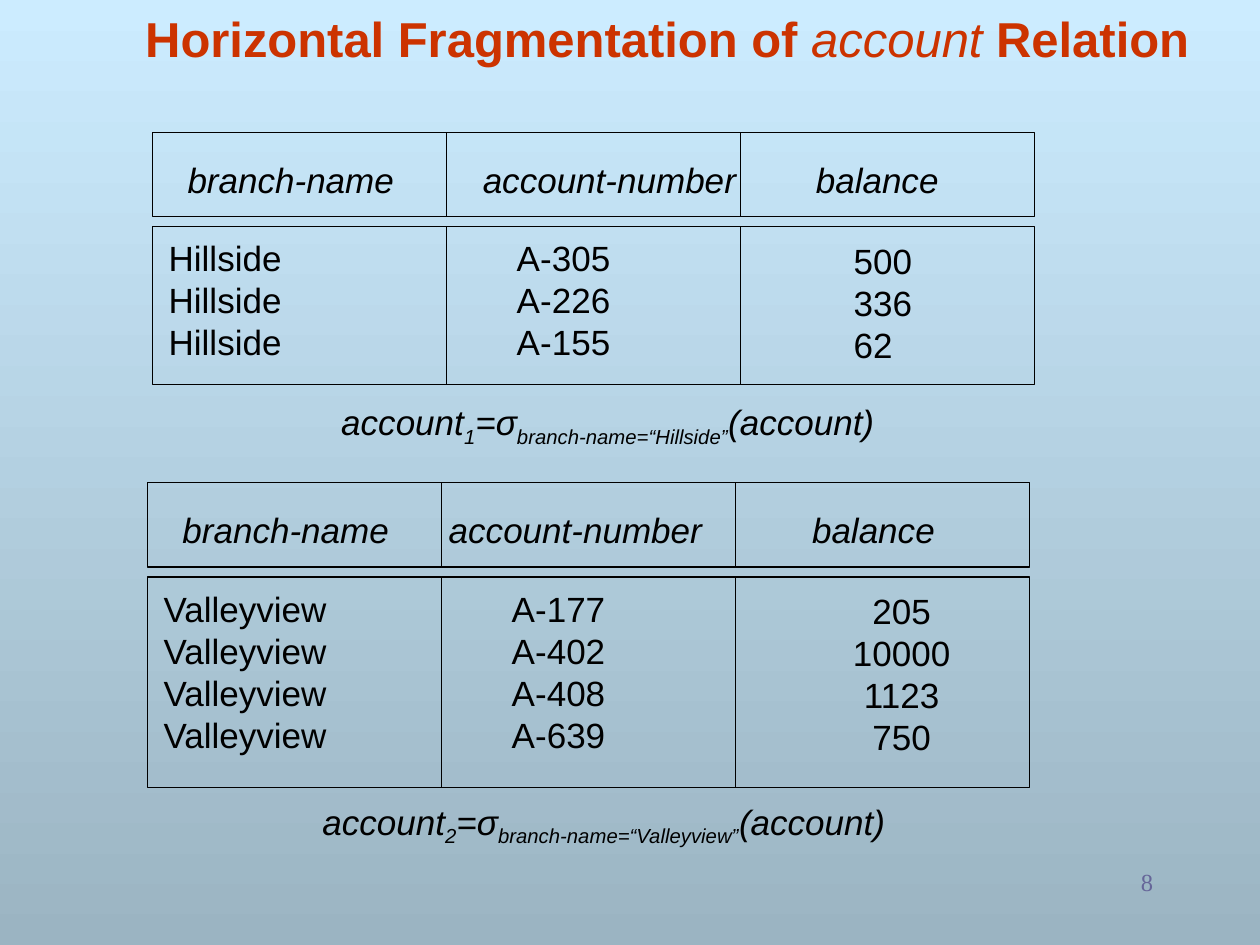
from pptx import Presentation
from pptx.dml.color import RGBColor
from pptx.enum.shapes import MSO_SHAPE
from pptx.enum.text import MSO_ANCHOR, MSO_AUTO_SIZE, PP_ALIGN
from pptx.util import Inches, Pt

SKY = RGBColor(0xCC, 0xEC, 0xFF)
SLATE = RGBColor(0x9B, 0xB4, 0xC2)
RED = RGBColor(0xCC, 0x33, 0x00)
BLACK = RGBColor(0x00, 0x00, 0x00)
VIOLET = RGBColor(0x66, 0x66, 0x99)

COL = 7 / 3
HEADER = 0.67
BODY_TOP = 0.75
LINE = 1 / 3

prs = Presentation()
prs.slide_width, prs.slide_height = Inches(10), Inches(7.5)
s = prs.slides.add_slide(prs.slide_layouts[5])

fill = s.background.fill
fill.gradient()
fill.gradient_angle = 270
for stop, color in zip(fill.gradient_stops, (SKY, SLATE)):
    stop.color.rgb = color


def add_cell(x, y, h):
    sp = s.shapes.add_shape(MSO_SHAPE.RECTANGLE, Inches(x), Inches(y), Inches(COL), Inches(h))
    sp.shadow.inherit = False
    sp.fill.background()
    sp.line.color.rgb = BLACK
    sp.line.width = Pt(0.75)


def add_text(x, y, w, h, lines, italic=False, align=PP_ALIGN.LEFT):
    """Add an unwrapped box; each line is a list of (text, is_subscript) runs."""
    tf = s.shapes.add_textbox(Inches(x), Inches(y), Inches(w), Inches(h)).text_frame
    tf.word_wrap = False
    tf.auto_size = MSO_AUTO_SIZE.SHAPE_TO_FIT_TEXT
    for i, runs in enumerate(lines):
        p = tf.add_paragraph() if i else tf.paragraphs[0]
        p.alignment = align
        p.font.name, p.font.size = "Arial", Pt(20)
        p.font.italic = italic
        p.font.color.rgb = BLACK
        for text, is_subscript in runs:
            r = p.add_run()
            r.text = text
            if is_subscript:
                r.font._element.set("baseline", "-25000")


# Title
title = s.shapes.title
title.left, title.top = Inches(0.42), Inches(0)
title.width, title.height = Inches(9.75), Inches(0.58)
tf = title.text_frame
tf.auto_size = MSO_AUTO_SIZE.NONE
tf.vertical_anchor = MSO_ANCHOR.BOTTOM
p = tf.paragraphs[0]
p.alignment = PP_ALIGN.CENTER
p.line_spacing = 0.8
p.font.name, p.font.size = "Arial", Pt(28)
p.font.color.rgb = RED
for text, italic in (("Horizontal Fragmentation of ", False), ("account", True), (" Relation", False)):
    r = p.add_run()
    r.text = text
    r.font.bold, r.font.italic = not italic, italic

# Fragments: left, top, body height, caption box, fragment number, branch,
# then per column: heading inset, value inset, value width, values
LEFT, CENTER = PP_ALIGN.LEFT, PP_ALIGN.CENTER
fragments = [
    (1.21, 1.05, 1.25, (2.61, 3.13, 4.45, 0.48), "1", "Hillside", LEFT, [
        (0.18, 0.03, 1.12, ["Hillside"] * 3),
        (0.19, 0.46, 0.96, ["A-305", "A-226", "A-155"]),
        (0.5, 0.8, 0.69, ["500", "336", "62"])]),
    (1.17, 3.83, 1.67, (2.46, 6.3, 4.69, 0.82), "2", "Valleyview", CENTER, [
        (0.18, 0.03, 1.53, ["Valleyview"] * 4),
        (-0.04, 0.46, 0.96, ["A-177", "A-402", "A-408", "A-639"]),
        (0.51, 0.82, 1, ["205", "10000", "1123", "750"])]),
]
headings = [("branch-name", 1.86), ("account-number", 2.23), ("balance", 1.2)]
value_drops = [0.03, 0.03, 0.05]

for left, top, body, caption, number, branch, balance_align, columns in fragments:
    xs = [left + i * COL for i in range(3)]
    for x, (heading, width), (inset, *_) in zip(xs, headings, columns):
        add_cell(x, top, HEADER)
        add_text(x + inset, top + 0.16, width, 0.44, [[(heading, False)]], italic=True)
    aligns = (LEFT, LEFT, balance_align)
    for x, drop, align, (_, inset, width, values) in zip(xs, value_drops, aligns, columns):
        add_cell(x, top + BODY_TOP, body)
        add_text(x + inset, top + BODY_TOP + drop, width, 0.1 + LINE * len(values),
                 [[(value, False)] for value in values], align=align)
    add_text(*caption, [[("account", False), (number, True), ("=σ", False),
                         (f"branch-name=“{branch}”", True), ("(account)", False)]], italic=True)

# Slide number
tf = s.shapes.add_textbox(Inches(7.17), Inches(6.83), Inches(2.08), Inches(0.5)).text_frame
tf.word_wrap = True
p = tf.paragraphs[0]
p.text = "8"
p.alignment = PP_ALIGN.RIGHT
p.font.name, p.font.size = "Times New Roman", Pt(14)
p.font.color.rgb = VIOLET

prs.save("out.pptx")
